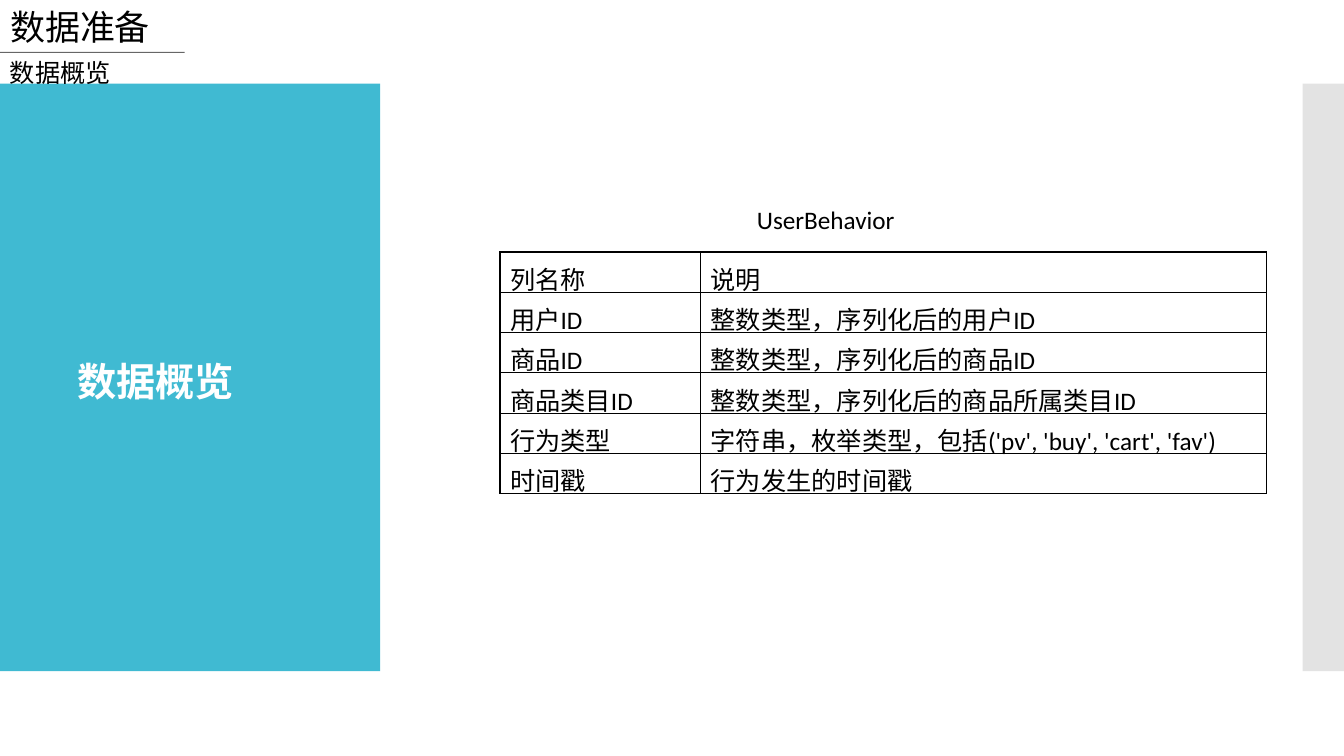
import dataclasses

import pptx
import pptx.dml.color
import pptx.enum.shapes
import pptx.enum.text
import pptx.oxml
import pptx.oxml.ns
import pptx.util

Inches = pptx.util.Inches
ALIGN = pptx.enum.text.PP_ALIGN
ANCHOR = pptx.enum.text.MSO_ANCHOR


@dataclasses.dataclass(frozen=True)
class Theme:
    font: str = "Calibri"
    ink: str = "000000"
    paper: str = "FFFFFF"
    accent: str = "40BAD2"
    edge: str = "C8C8C8"
    heading: int = 25
    label: int = 28
    body: int = 18


THEME = Theme()

COLUMNS = [
    ("列名称", "说明"),
    ("用户ID", "整数类型，序列化后的用户ID"),
    ("商品ID", "整数类型，序列化后的商品ID"),
    ("商品类目ID", "整数类型，序列化后的商品所属类目ID"),
    ("行为类型", "字符串，枚举类型，包括('pv', 'buy', 'cart', 'fav')"),
    ("时间戳", "行为发生的时间戳"),
]


def rgb(color):
    return pptx.dml.color.RGBColor.from_string(color)


def add_xml(parent, body):
    """Append one DrawingML element, given as text, to parent."""
    tag, _, rest = body.partition(">")
    tag = tag.rstrip("/")
    closing = "/>" if body.count("<") == 1 else ">"
    namespace = pptx.oxml.ns.nsdecls("a")
    parent.append(pptx.oxml.parse_xml(f"{tag} {namespace}{closing}{rest}"))


def set_opacity(fill, percent):
    color = fill._xPr.find(".//" + pptx.oxml.ns.qn("a:srgbClr"))
    add_xml(color, f'<a:alpha val="{percent * 1000}"/>')


def write(frame, text, size, color=THEME.ink, bold=False, align=ALIGN.LEFT):
    paragraph = frame.paragraphs[0]
    paragraph.alignment = align
    run = paragraph.add_run()
    run.text = text
    run.font.name = THEME.font
    run.font.size = pptx.util.Pt(size)
    run.font.bold = bold
    run.font.color.rgb = rgb(color)


def add_text(slide, box, text, size, wrap=True, **style):
    frame = slide.shapes.add_textbox(*map(Inches, box)).text_frame
    frame.word_wrap = wrap
    write(frame, text, size, **style)


def add_band(slide, box, color, opacity=100):
    band = slide.shapes.add_shape(
        pptx.enum.shapes.MSO_SHAPE.RECTANGLE, *map(Inches, box))
    band.shadow.inherit = False
    band.fill.solid()
    band.fill.fore_color.rgb = rgb(color)
    band.line.fill.background()
    if opacity < 100:
        set_opacity(band.fill, opacity)


def add_header(slide, box, title, subtitle):
    left, top, width, height = box
    # Title
    heading = slide.shapes.title
    heading.left, heading.top, heading.width, heading.height = map(Inches, box)
    frame = heading.text_frame
    frame.auto_size = pptx.enum.text.MSO_AUTO_SIZE.NONE
    frame.vertical_anchor = ANCHOR.TOP
    frame.word_wrap = True
    write(frame, title, THEME.heading)
    # Subtitle below the rule
    rule_y = top + height
    add_text(slide, (left, rule_y, width, 0.4), subtitle, THEME.body)
    rule = slide.shapes.add_connector(
        pptx.enum.shapes.MSO_CONNECTOR.STRAIGHT,
        *map(Inches, (left, rule_y, left + width, rule_y)))
    rule.line.width = pptx.util.Pt(0.75)
    rule.line.color.rgb = rgb(THEME.ink)
    set_opacity(rule.line.fill, 60)
    add_xml(rule._element.spPr, "<a:effectLst/>")


def add_section_panel(slide, box, label):
    left, top, width, height = box
    add_band(slide, box, THEME.accent)
    label_box = (left + 0.67, top + 2.67, 1.78, 0.57)
    add_text(slide, label_box, label, THEME.label, wrap=False,
             color=THEME.paper, bold=True)


def format_cell(cell, text):
    cell.fill.background()
    cell.vertical_anchor = ANCHOR.MIDDLE
    cell.margin_top, cell.margin_bottom = Inches(0.08), Inches(0.01)
    write(cell.text_frame, text, THEME.body)
    # Borders come before the fill in the cell properties
    properties = cell._tc.get_or_add_tcPr()
    fill = properties[0]
    properties.remove(fill)
    for side in "LRTB":
        add_xml(properties, f'<a:ln{side} w="12700"><a:solidFill>'
                f'<a:srgbClr val="{THEME.ink}"/></a:solidFill></a:ln{side}>')
    properties.append(fill)


def add_column_table(slide, box, caption, rows):
    left, top, width, height = box
    add_text(slide, (left + 2.19, top - 0.52, 2.08, 0.4), caption,
             THEME.body, align=ALIGN.CENTER)
    table = slide.shapes.add_table(
        len(rows), len(rows[0]), *map(Inches, box)).table
    table.first_row = table.horz_banding = False
    name_width = 1.99
    table.columns[0].width = Inches(name_width)
    table.columns[1].width = Inches(width - name_width)
    for row, texts in zip(table.rows, rows):
        row.height = Inches(height / len(rows))
        for cell, text in zip(row.cells, texts):
            format_cell(cell, text)


def build_overview(deck):
    slide = deck.slides.add_slide(deck.slide_layouts[5])
    band_top, band_height = 0.83, 5.83
    add_section_panel(slide, (0, band_top, 3.77, band_height), "数据概览")
    add_band(slide, (12.92, band_top, 0.41, band_height), THEME.edge, 50)
    add_header(slide, (0, 0, 1.83, 0.52), "数据准备", "数据概览")
    add_column_table(slide, (4.96, 2.5, 7.6, 2.4), "UserBehavior", COLUMNS)


def main():
    deck = pptx.Presentation()
    deck.slide_width, deck.slide_height = Inches(13.33), Inches(7.5)
    build_overview(deck)
    deck.save("out.pptx")


if __name__ == "__main__":
    main()
